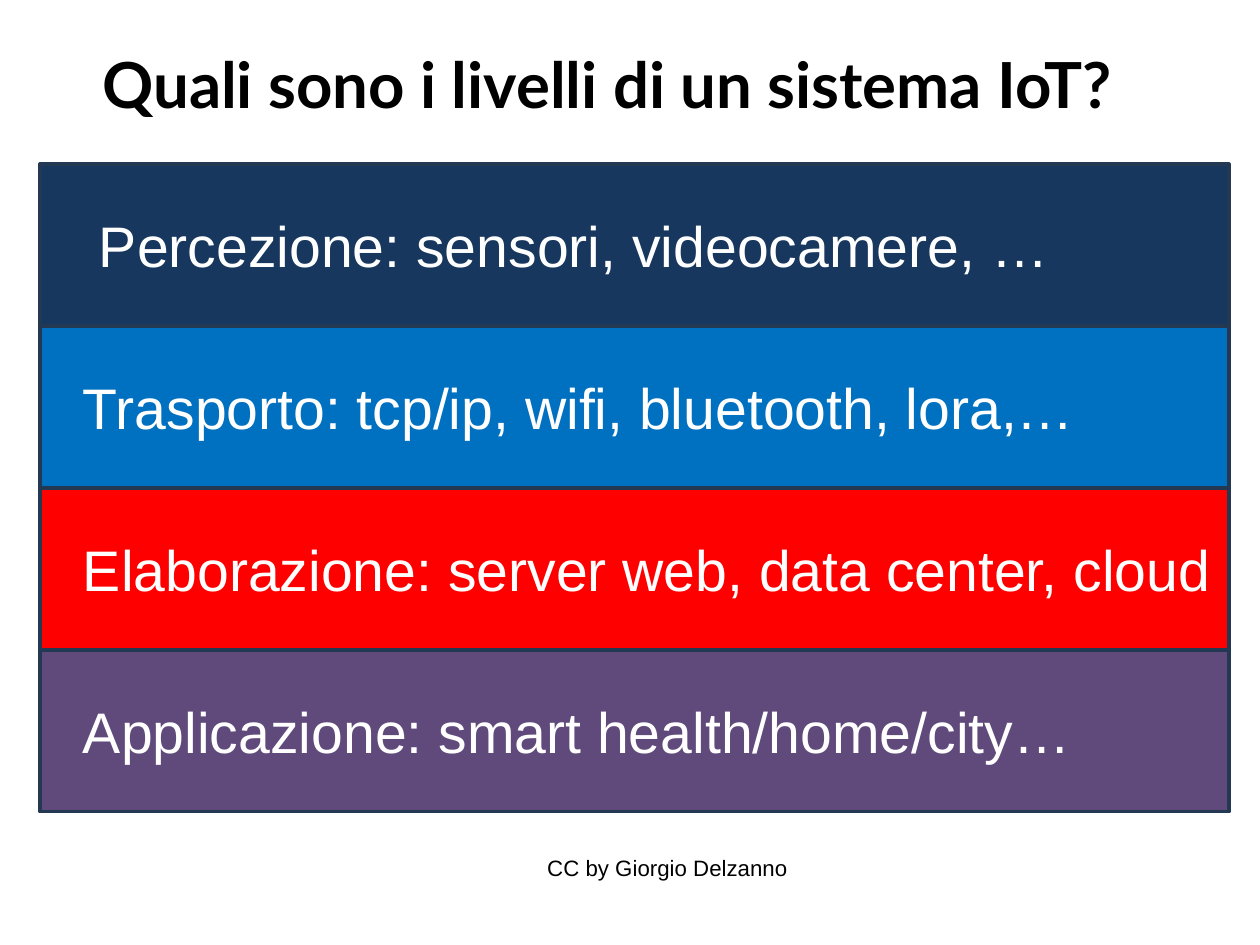
from dataclasses import dataclass

from pptx import Presentation
from pptx.dml.color import RGBColor
from pptx.enum.shapes import MSO_SHAPE
from pptx.enum.text import MSO_ANCHOR, PP_ALIGN
from pptx.slide import Slide
from pptx.text.text import TextFrame
from pptx.util import Emu, Pt

BLACK = RGBColor(0x00, 0x00, 0x00)
WHITE = RGBColor(0xFF, 0xFF, 0xFF)
NAVY = RGBColor(0x17, 0x37, 0x5E)
BLUE = RGBColor(0x00, 0x70, 0xC0)
RED = RGBColor(0xFF, 0x00, 0x00)
PURPLE = RGBColor(0x60, 0x4A, 0x7B)
OUTLINE = RGBColor(0x23, 0x39, 0x53)

LAYER_LEFT, LAYER_TOP = 40, 164
LAYER_WIDTH, LAYER_HEIGHT = 1189, 162


def px(length: int) -> Emu:
    return Emu(length * 8000)


@dataclass(frozen=True)
class Layer:
    label: str
    fill: RGBColor
    indent: int = 43


@dataclass(frozen=True)
class TextStyle:
    font: str
    size: int
    color: RGBColor
    bold: bool = False
    align: PP_ALIGN = PP_ALIGN.LEFT


TITLE_STYLE = TextStyle("Lato", 40, BLACK, True, PP_ALIGN.CENTER)
LAYER_STYLE = TextStyle("Arial", 36, WHITE)
CREDIT_STYLE = TextStyle("Arial", 14, BLACK)

LAYERS = [
    Layer("Percezione: sensori, videocamere, …", NAVY, 59),
    Layer("Trasporto: tcp/ip, wifi, bluetooth, lora,…", BLUE),
    Layer("Elaborazione: server web, data center, cloud", RED),
    Layer("Applicazione: smart health/home/city…", PURPLE),
]


def write(frame: TextFrame, text: str, style: TextStyle) -> None:
    para = frame.paragraphs[0]
    para.alignment = style.align
    span = para.add_run()
    span.text = text
    span.font.name = style.font
    span.font.size = Pt(style.size)
    span.font.bold = style.bold
    span.font.color.rgb = style.color


def draw_title(page: Slide) -> None:
    box = page.shapes.add_textbox(px(0), px(31), px(1214), px(104))
    frame = box.text_frame
    frame.word_wrap = True
    frame.vertical_anchor = MSO_ANCHOR.MIDDLE
    frame.margin_left = frame.margin_right = 0
    frame.margin_top = frame.margin_bottom = 0
    write(frame, "Quali sono i livelli di un sistema IoT?", TITLE_STYLE)


def draw_layer(page: Slide, layer: Layer, row: int) -> None:
    box = page.shapes.add_shape(
        MSO_SHAPE.RECTANGLE,
        px(LAYER_LEFT),
        px(LAYER_TOP + row * LAYER_HEIGHT),
        px(LAYER_WIDTH),
        px(LAYER_HEIGHT),
    )
    box.shadow.inherit = False
    box.fill.solid()
    box.fill.fore_color.rgb = layer.fill
    box.line.color.rgb = OUTLINE
    box.line.width = Pt(2)
    frame = box.text_frame
    frame.word_wrap = True
    frame.vertical_anchor = MSO_ANCHOR.MIDDLE
    frame.margin_left = px(layer.indent)
    write(frame, layer.label, LAYER_STYLE)


def draw_credit(page: Slide) -> None:
    box = page.shapes.add_textbox(px(536), px(849), px(264), px(39))
    box.text_frame.word_wrap = False
    write(box.text_frame, "CC by Giorgio Delzanno", CREDIT_STYLE)


def main() -> None:
    deck = Presentation()
    deck.slide_width, deck.slide_height = px(1260), px(945)
    page = deck.slides.add_slide(deck.slide_layouts[6])
    draw_title(page)
    for row, layer in enumerate(LAYERS):
        draw_layer(page, layer, row)
    draw_credit(page)
    deck.save("out.pptx")


if __name__ == "__main__":
    main()
